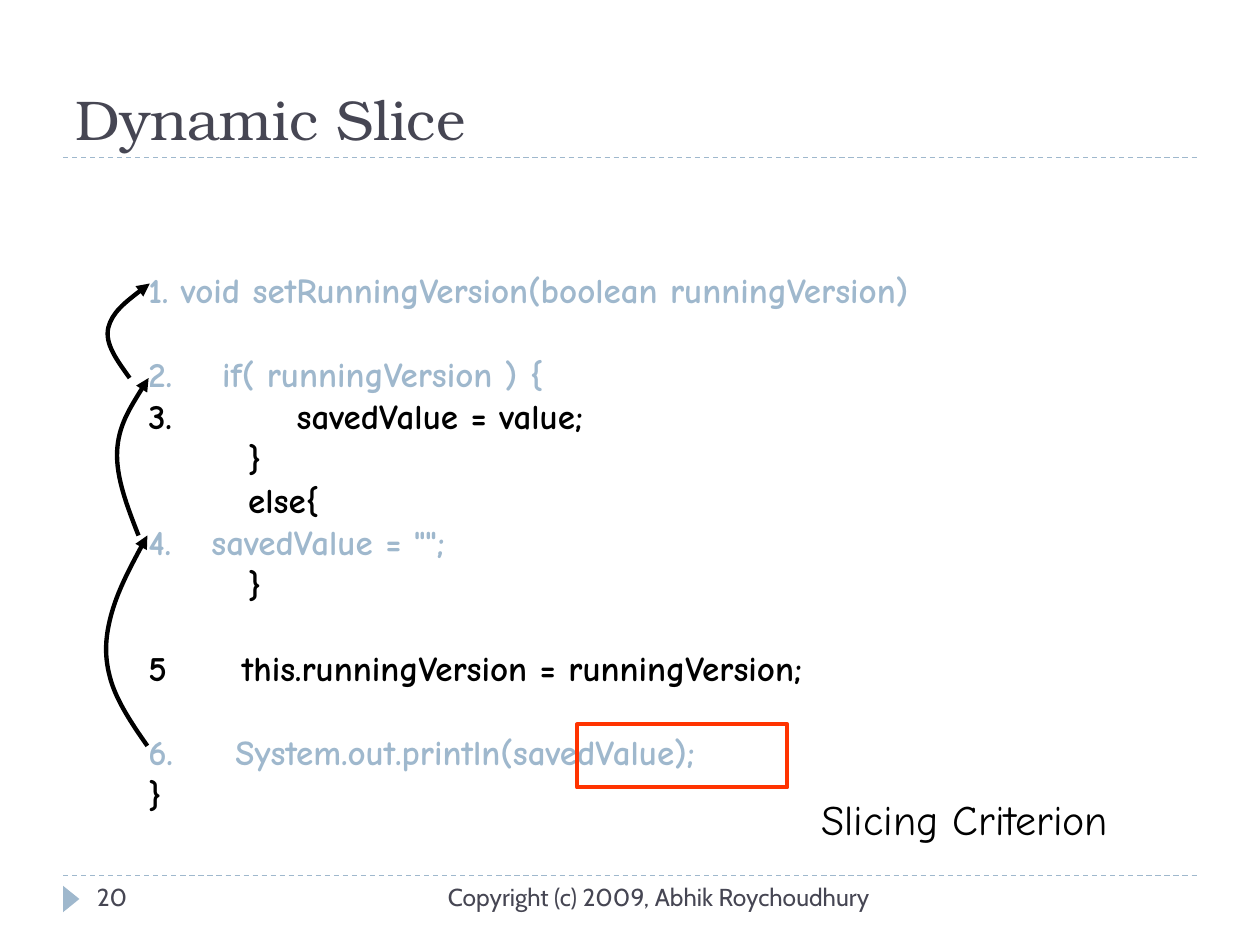
from lxml.etree import SubElement
from pptx import Presentation
from pptx.dml.color import RGBColor as Rgb
from pptx.enum.dml import MSO_LINE as Dash
from pptx.enum.shapes import MSO_CONNECTOR as Conn, MSO_SHAPE as Shape
from pptx.enum.text import MSO_ANCHOR as Anchor, PP_ALIGN as Align
from pptx.oxml.ns import qn
from pptx.util import Inches, Pt

HUES = {"ink": "464653", "slice": "9FB8CD", "code": "000000", "mark": "FF3300"}
SERIF, SANS, HAND = "TeX Gyre Bonum", "Cabin", "Comic Neue"
PITCH = 24

CODE = [
    ("1. void setRunningVersion(boolean runningVersion)", "slice", 0),
    ("2.    if( runningVersion ) {", "slice", 1),
    ("3.          savedValue = value;", "code", 0),
    ("        }", "code", 0),
    ("        else{", "code", 0),
    ('4.\tsavedValue = "";', "slice", 0),
    ("        }", "code", 0),
    ("5      this.runningVersion = runningVersion;", "code", 1),
    ("6.     System.out.println(savedValue);", "slice", 1),
    ("}", "code", 0),
]

ARCS = [
    [(1.17, 5.92), (1.05, 5.75), (0.93, 5.57), (0.88, 5.4), (0.83, 5.23),
     (0.83, 5.08), (0.88, 4.89), (0.93, 4.7), (1.05, 4.47), (1.17, 4.25)],
    [(1.1, 4.25), (1.01, 4.02), (0.92, 3.79), (0.93, 3.58), (0.94, 3.38),
     (1.06, 3.19), (1.18, 3)],
    [(1.03, 3), (0.93, 2.86), (0.83, 2.73), (0.86, 2.6), (0.89, 2.48),
     (1.04, 2.36), (1.19, 2.25)],
]


def hue(name):
    """Return the named colour."""
    return Rgb.from_string(HUES[name])


def style(para, font, size, color, bold=False):
    """Format every run of a paragraph."""
    for run in para.runs:
        run.font.name, run.font.size, run.font.bold = font, Pt(size), bold
        run.font.color.rgb = hue(color)


def add_box(slide, box):
    """Add a wrapping text box and return its frame."""
    frame = slide.shapes.add_textbox(*map(Inches, box)).text_frame
    frame.word_wrap = True
    return frame


def add_label(slide, box, text, font, size, color, align=Align.LEFT, anchor=Anchor.TOP):
    """Add one line of text."""
    frame = add_box(slide, box)
    frame.text = text
    frame.vertical_anchor = anchor
    frame.paragraphs[0].alignment = align
    style(frame.paragraphs[0], font, size, color)


def add_rule(slide, left, top, width):
    """Add a dashed rule across the slide."""
    ends = map(Inches, (left, top, left + width, top))
    rule = slide.shapes.add_connector(Conn.STRAIGHT, *ends)
    rule.line.color.rgb = hue("slice")
    rule.line.width = Pt(0.75)
    rule.line.dash_style = Dash.DASH
    SubElement(rule._element.spPr, qn("a:effectLst"))


def add_header(slide, left, top, width, height):
    """Add the title above its rule."""
    add_label(slide, (left, top, width, height), "Dynamic Slice", SERIF, 32, "ink",
              anchor=Anchor.BOTTOM)
    add_rule(slide, left, top + height, width)


def add_footer(slide, left, top, width, height):
    """Add the rule, marker, page number and copyright line."""
    add_rule(slide, left, top, width)
    spot = map(Inches, (left - 0.04, top + 0.12, 0.21, 0.13))
    mark = slide.shapes.add_shape(Shape.ISOSCELES_TRIANGLE, *spot)
    mark.rotation = 90
    mark.shadow.inherit = False
    mark.fill.solid()
    mark.fill.fore_color.rgb = hue("slice")
    mark.line.fill.background()
    add_label(slide, (left + 0.17, top, 2.17, height), "20", SANS, 14, "ink")
    add_label(slide, (left + 2.67, top, 3.83, height),
              "Copyright (c) 2009, Abhik Roychoudhury", SANS, 14, "ink", Align.RIGHT)


def add_code(slide, left, top, width, height):
    """Add the listing, the criterion frame and its label."""
    frame = add_box(slide, (left, top, width, height))
    for row, (text, color, gap) in enumerate(CODE):
        para = frame.add_paragraph() if row else frame.paragraphs[0]
        para.text = text
        para.space_before = Pt(gap * PITCH)
        style(para, HAND, 20, color, True)
    spot = map(Inches, (left + 3.5, top + 3.67, 1.67, 0.5))
    mark = slide.shapes.add_shape(Shape.RECTANGLE, *spot)
    mark.shadow.inherit = False
    mark.fill.background()
    mark.line.color.rgb = hue("mark")
    mark.line.width = Pt(2.25)
    add_label(slide, (left + 5.34, top + 4.17, 2.92, 0.5), "Slicing Criterion",
              HAND, 24, "code")


def add_arc(slide, points):
    """Add a curved arrow through Bezier control points."""
    start, *rest = [(Inches(x), Inches(y)) for x, y in points]
    pen = slide.shapes.build_freeform(*start)
    pen.add_line_segments(rest, close=False)
    arc = pen.convert_to_shape()
    arc.shadow.inherit = False
    arc.fill.background()
    arc.line.color.rgb = hue("code")
    arc.line.width = Pt(2.5)
    SubElement(arc.line._get_or_add_ln(), qn("a:tailEnd"), type="triangle")
    steps = arc._element.findall(".//" + qn("a:lnTo"))
    root = steps[0].getparent()
    for i in range(0, len(steps), 3):
        curve = SubElement(root, qn("a:cubicBezTo"))
        for step in steps[i:i + 3]:
            curve.append(step[0])
            root.remove(step)


def main():
    """Build and save the slide."""
    deck = Presentation()
    deck.slide_width, deck.slide_height = Inches(10), Inches(7.5)
    slide = deck.slides.add_slide(deck.slide_layouts[6])
    add_header(slide, 0.5, 0.17, 9, 1.08)
    add_footer(slide, 0.5, 6.95, 9, 0.4)
    add_code(slide, 1.08, 2.08, 8.17, 4.44)
    for points in ARCS:
        add_arc(slide, points)
    deck.save("out.pptx")


if __name__ == "__main__":
    main()
